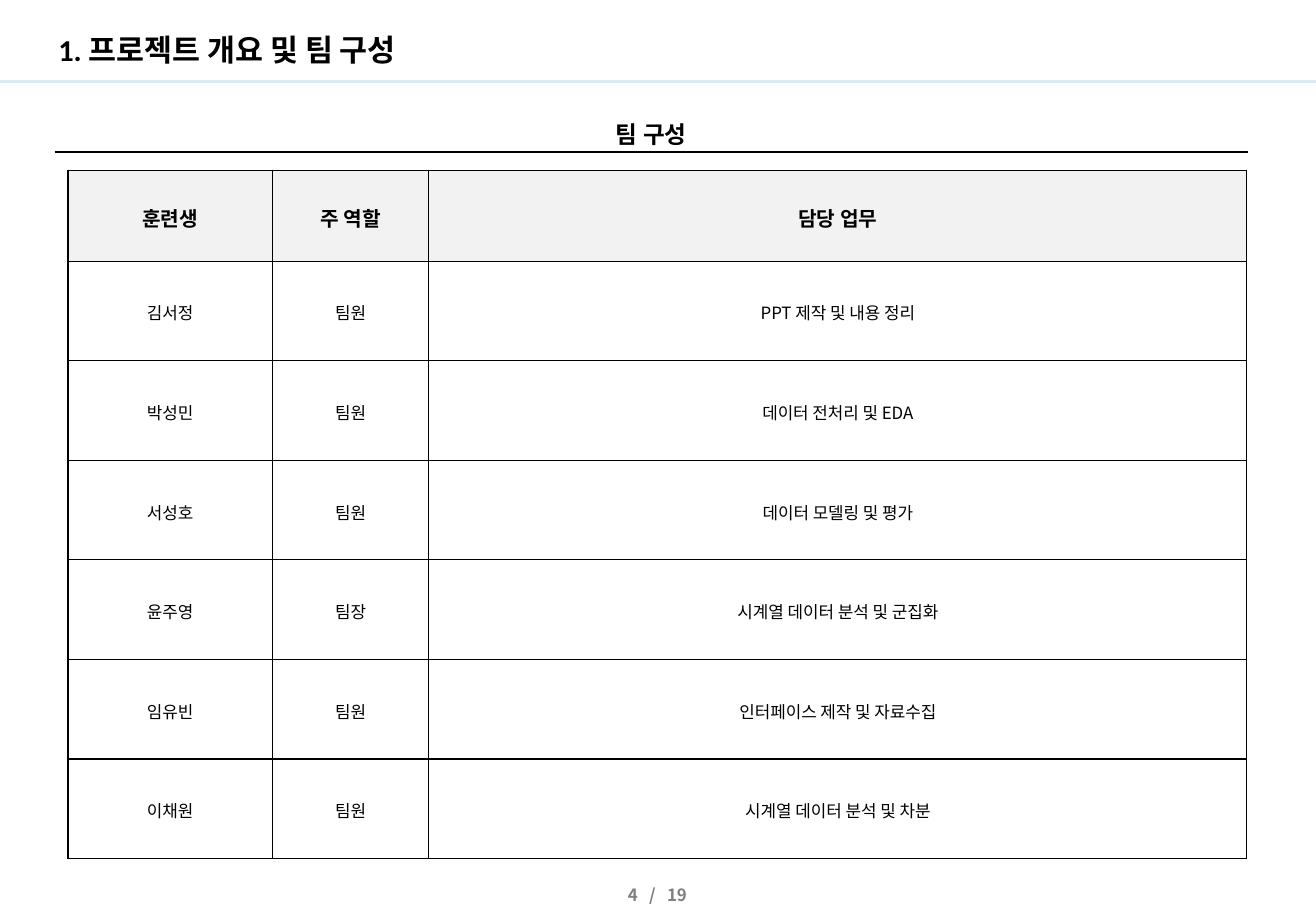
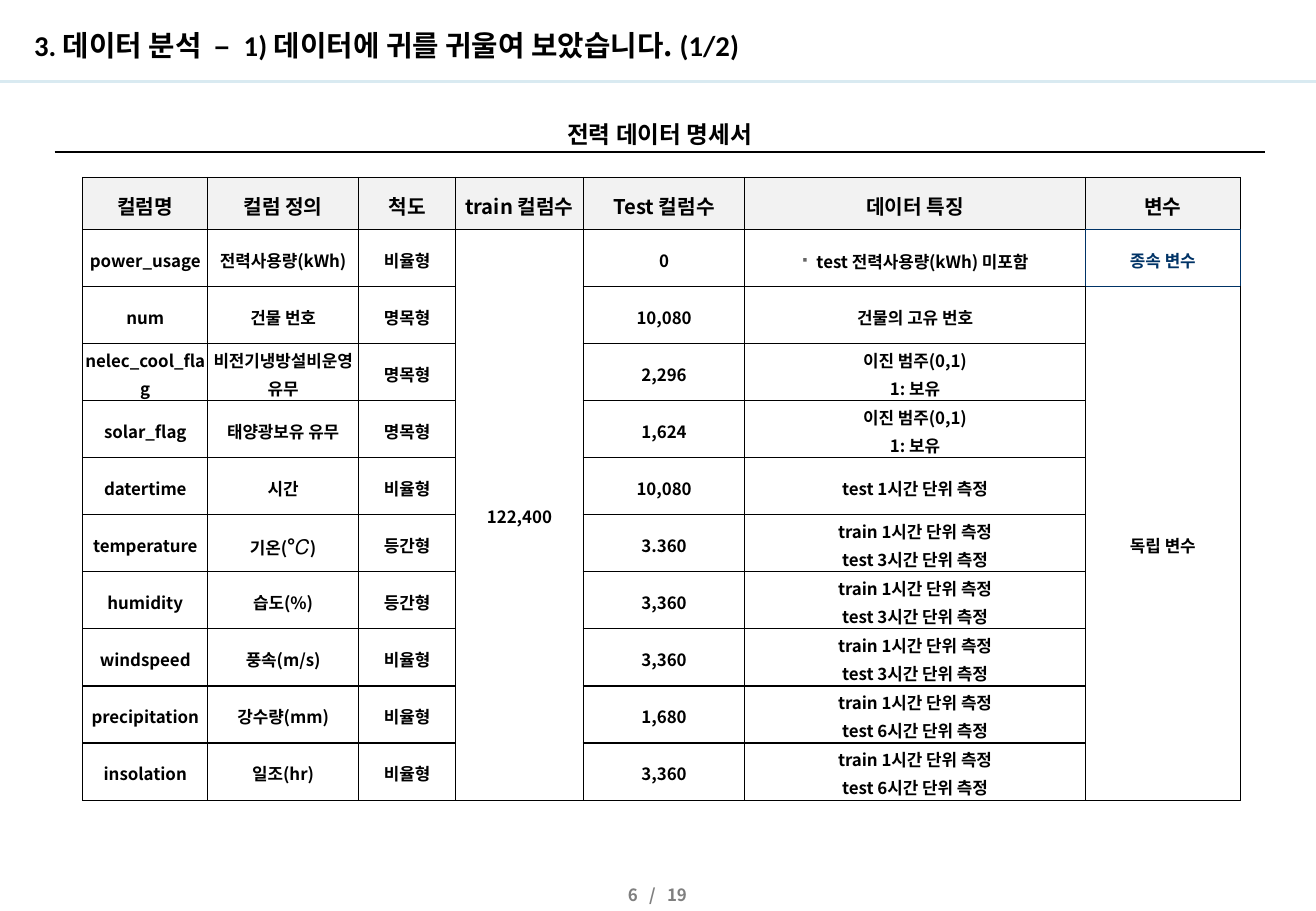
from lxml import etree
from pptx import Presentation
from pptx.dml.color import RGBColor
from pptx.enum.shapes import MSO_CONNECTOR
from pptx.enum.text import MSO_ANCHOR, MSO_AUTO_SIZE, PP_ALIGN
from pptx.oxml.ns import qn
from pptx.util import Inches, Pt

STRAIGHT = MSO_CONNECTOR.STRAIGHT
MIDDLE = MSO_ANCHOR.MIDDLE
NO_AUTOFIT = MSO_AUTO_SIZE.NONE
LEFT, CENTER = PP_ALIGN.LEFT, PP_ALIGN.CENTER

BLACK = RGBColor(0x00, 0x00, 0x00)
GRAY = RGBColor(0x7F, 0x7F, 0x7F)
BULLET_GRAY = RGBColor(0x66, 0x66, 0x66)
HEADER_FILL = RGBColor(0xF2, 0xF2, 0xF2)
PALE_BLUE = RGBColor(0xD9, 0xEA, 0xF1)
NAVY = RGBColor(0x00, 0x33, 0x66)

KOREAN_FONT = "Noto Sans CJK KR"
LATIN_FONT = "Calibri"
SLIDE_WIDTH, SLIDE_HEIGHT = 10.83, 7.5
PAGE_TOTAL = 19


def format_span(span, size=10, font=KOREAN_FONT, color=BLACK, bold=True, spacing=0):
    span.font.size = Pt(size)
    span.font.bold = bold
    span.font.color.rgb = color
    span.font.name = font
    properties = span.font._element
    etree.SubElement(properties, qn("a:ea"), typeface=KOREAN_FONT)
    if spacing:
        properties.set("spc", str(int(spacing * 100)))


def write(frame, text, align=CENTER, line_spacing=1.14, **style):
    paragraphs = text.split("\n") if isinstance(text, str) else [text]
    for index, content in enumerate(paragraphs):
        para = frame.add_paragraph() if index else frame.paragraphs[0]
        para.alignment = align
        para.line_spacing = line_spacing
        spans = [(content, {})] if isinstance(content, str) else content
        for words, changes in spans:
            span = para.add_run()
            span.text = words
            format_span(span, **{**style, **changes})


def draw_border(cell, colors):
    properties = cell._tc.get_or_add_tcPr()
    for index, side in enumerate("LRTB"):
        line = etree.Element(qn(f"a:ln{side}"), w=str(Pt(0.75)))
        fill = etree.SubElement(line, qn("a:solidFill"))
        etree.SubElement(fill, qn("a:srgbClr"), val=str(colors.get(side, BLACK)))
        properties.insert(index, line)


def border_colors(position, accent):
    if accent is None:
        return {}
    row, column = accent
    return {
        (row, column): dict.fromkeys("LRTB", NAVY),
        (row - 1, column): {"B": NAVY},
        (row + 1, column): {"T": NAVY},
        (row, column - 1): {"R": NAVY},
    }.get(position, {})


class Report:
    def __init__(self):
        self.deck = Presentation()
        self.deck.slide_width = Inches(SLIDE_WIDTH)
        self.deck.slide_height = Inches(SLIDE_HEIGHT)
        self.page = None

    def add_page(self, number, title, left, top, size):
        self.page = self.deck.slides.add_slide(self.deck.slide_layouts[5])
        self.add_title(title, left, top, size)
        self.add_line(0, SLIDE_WIDTH, 0.67, PALE_BLUE, 2)
        gap = (" ", {"spacing": 4.5})
        footer = [(str(number), {}), gap, ("/", {}), gap, (str(PAGE_TOTAL), {})]
        self.add_text(footer, 4.61, 7.2, 1.6, 0.25, color=GRAY)

    def add_title(self, title, left, top, size):
        box = self.page.shapes.title
        box.left, box.top = Inches(left), Inches(top)
        box.width, box.height = Inches(9.9), Inches(0.39)
        frame = box.text_frame
        frame.auto_size = NO_AUTOFIT
        frame.vertical_anchor = MIDDLE
        write(frame, title, align=LEFT, line_spacing=0.9, size=size)

    def add_line(self, start, end, top, color, width):
        line = self.page.shapes.add_connector(
            STRAIGHT, Inches(start), Inches(top), Inches(end), Inches(top))
        line.line.color.rgb = color
        line.line.width = Pt(width)
        etree.SubElement(line._element.spPr, qn("a:effectLst"))

    def add_text(self, text, left, top, width, height, **style):
        box = self.page.shapes.add_textbox(
            Inches(left), Inches(top), Inches(width), Inches(height))
        box.text_frame.word_wrap = True
        write(box.text_frame, text, line_spacing=1.2, **style)

    def add_heading(self, text, width):
        self.add_text(text, 0.45, 0.89, width, 0.36, size=14)
        self.add_line(0.45, 0.45 + width, 1.25, BLACK, 1)

    def add_table(self, rows, left, top, widths, header_height, row_height,
                  bold=True, merges=(), accent=None):
        heights = [header_height] + [row_height] * (len(rows) - 1)
        table = self.page.shapes.add_table(
            len(rows), len(widths), Inches(left), Inches(top),
            Inches(sum(widths)), Inches(sum(heights))).table
        table.first_row = table.horz_banding = False
        for column, width in zip(table.columns, widths):
            column.width = Inches(width)
        for row, height in zip(table.rows, heights):
            row.height = Inches(height)
        for row_index, row in enumerate(rows):
            for column_index, text in enumerate(row):
                position = (row_index, column_index)
                self.fill_cell(table.cell(*position), text, row_index == 0, bold,
                               NAVY if position == accent else BLACK,
                               border_colors(position, accent))
        for first, last in merges:
            table.cell(*first).merge(table.cell(*last))

    def fill_cell(self, cell, text, header, bold, color, borders):
        cell.margin_left = cell.margin_right = 0
        cell.margin_top = cell.margin_bottom = 0
        cell.vertical_anchor = MIDDLE
        if header:
            cell.fill.solid()
            cell.fill.fore_color.rgb = HEADER_FILL
        else:
            cell.fill.background()
        draw_border(cell, borders)
        if text:
            write(cell.text_frame, text, size=12 if header else 10,
                  bold=header or bold, color=color)


def add_team_page(report):
    title = [("1. ", {"font": LATIN_FONT}), ("프로젝트 개요 및 팀 구성", {})]
    report.add_page(4, title, 0.38, 0.23, 18)
    report.add_heading("팀 구성", 9.82)
    rows = [
        ("훈련생", "주 역할", "담당 업무"),
        ("김서정", "팀원", "PPT 제작 및 내용 정리"),
        ("박성민", "팀원", "데이터 전처리 및 EDA"),
        ("서성호", "팀원", "데이터 모델링 및 평가"),
        ("윤주영", "팀장", "시계열 데이터 분석 및 군집화"),
        ("임유빈", "팀원", "인터페이스 제작 및 자료수집"),
        ("이채원", "팀원", "시계열 데이터 분석 및 차분"),
    ]
    report.add_table(rows, 0.56, 1.4, (1.68, 1.29, 6.73), 0.75, 0.82, bold=False)


def add_data_page(report):
    latin = {"font": LATIN_FONT}
    gap = (" ", {"font": LATIN_FONT, "spacing": 4})
    title = [("3. 데이터 분석", latin), gap, ("–", latin), gap, ("1) ", latin),
             ("데이터에 귀를 귀울여 보았습니다. ", {}), ("(1/2)", latin)]
    report.add_page(6, title, 0.18, 0.19, 17)
    report.add_heading("전력 데이터 명세서", 9.96)
    usage_note = [("· ", {"size": 14.5, "font": "Arial", "color": BULLET_GRAY}),
                  ("test 전력사용량(kWh) 미포함", {})]
    celsius = [("기온(", {}), ("°𝐶", {"size": 12}), (")", {})]
    binary = "이진 범주(0,1)\n1: 보유"
    three_hours, six_hours = (
        f"train 1시간 단위 측정\ntest {hours}시간 단위 측정" for hours in (3, 6))
    rows = [
        ("컬럼명", "컬럼 정의", "척도", "train 컬럼수", "Test 컬럼수", "데이터 특징", "변수"),
        ("power_usage", "전력사용량(kWh)", "비율형", "122,400", "0", usage_note, "종속 변수"),
        ("num", "건물 번호", "명목형", "", "10,080", "건물의 고유 번호", "독립 변수"),
        ("nelec_cool_flag", "비전기냉방설비운영 유무", "명목형", "", "2,296", binary, ""),
        ("solar_flag", "태양광보유 유무", "명목형", "", "1,624", binary, ""),
        ("datertime", "시간", "비율형", "", "10,080", "test 1시간 단위 측정", ""),
        ("temperature", celsius, "등간형", "", "3.360", three_hours, ""),
        ("humidity", "습도(%)", "등간형", "", "3,360", three_hours, ""),
        ("windspeed", "풍속(m/s)", "비율형", "", "3,360", three_hours, ""),
        ("precipitation", "강수량(mm)", "비율형", "", "1,680", six_hours, ""),
        ("insolation", "일조(hr)", "비율형", "", "3,360", six_hours, ""),
    ]
    report.add_table(rows, 0.68, 1.46, (1.03, 1.24, 0.8, 1.05, 1.33, 2.8, 1.28),
                     0.43, 0.47, accent=(1, 6),
                     merges=[((1, 3), (10, 3)), ((2, 6), (10, 6))])


def main():
    report = Report()
    add_team_page(report)
    add_data_page(report)
    report.deck.save("out.pptx")


if __name__ == "__main__":
    main()
